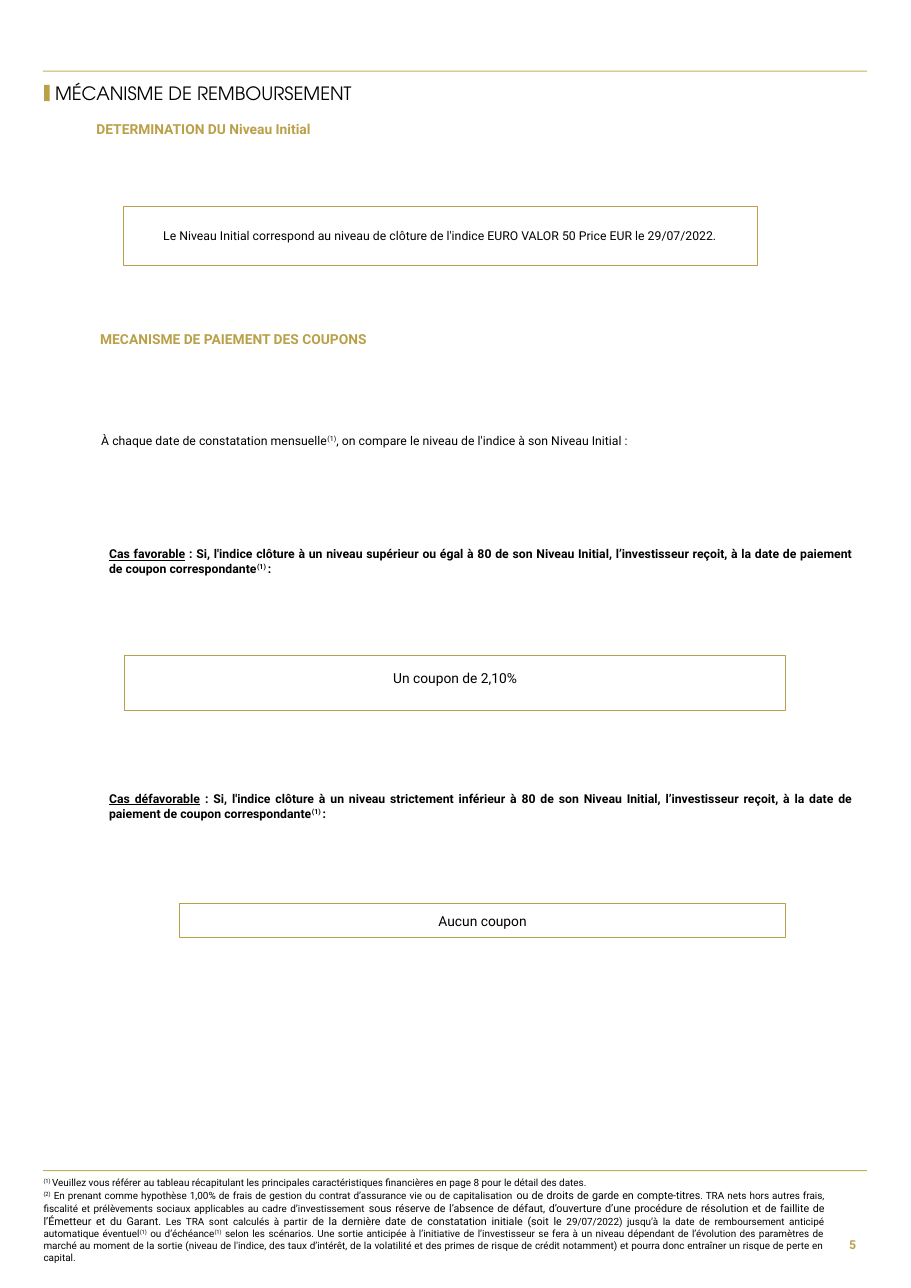
import dataclasses

import pptx
import pptx.dml.color
import pptx.enum.shapes
import pptx.enum.text
import pptx.util

Pt = pptx.util.Pt
Align = pptx.enum.text.PP_ALIGN
Anchor = pptx.enum.text.MSO_ANCHOR


@dataclasses.dataclass(frozen=True)
class Theme:
    gold: str = "B9A049"
    rule: str = "C5AF5C"
    ink: str = "000000"
    paper: str = "FFFFFF"
    body_font: str = "Roboto"
    title_font: str = "TeX Gyre Adventor"
    title: float = 12
    heading: float = 9
    body: float = 8
    footnote_large: float = 7
    footnote: float = 6.5


class Page:
    """Draws the elements of one page in a shared style."""

    def __init__(self, deck, theme):
        self.theme = theme
        self.shapes = deck.slides.add_slide(deck.slide_layouts[6]).shapes

    def style(self, span, size, color=None, bold=False, font=None):
        span.font.size = Pt(size)
        span.font.name = font or self.theme.body_font
        span.font.bold = bold
        span.font.color.rgb = pptx.dml.color.RGBColor.from_string(color or self.theme.ink)

    def frame(self, box, anchor, insets):
        frame = box.text_frame
        frame.word_wrap = True
        frame.vertical_anchor = anchor
        frame.margin_left, frame.margin_top, frame.margin_right, frame.margin_bottom = map(Pt, insets)
        return frame

    def bar(self, left, top, width, height, color):
        box = self.shapes.add_shape(pptx.enum.shapes.MSO_SHAPE.RECTANGLE, *map(Pt, (left, top, width, height)))
        box.shadow.inherit = False
        box.fill.solid()
        box.fill.fore_color.rgb = pptx.dml.color.RGBColor.from_string(color)
        box.line.fill.background()
        return box

    def label(self, bounds, text, size, color=None, bold=False, font=None,
              align=Align.LEFT, anchor=Anchor.TOP, insets=(0, 0, 0, 0), spacing=1):
        frame = self.frame(self.shapes.add_textbox(*map(Pt, bounds)), anchor, insets)
        self.line_of_text(frame, text, align, spacing, size, color, bold, font)

    def line_of_text(self, frame, text, align, spacing, *look):
        frame.text = text
        para = frame.paragraphs[0]
        para.alignment = align
        para.line_spacing = spacing
        self.style(para.runs[0], *look)

    def framed(self, bounds, text, size, line_width, insets, anchor=Anchor.MIDDLE, spacing=1):
        box = self.bar(*bounds, self.theme.paper)
        box.line.color.rgb = pptx.dml.color.RGBColor.from_string(self.theme.gold)
        box.line.width = Pt(line_width)
        self.line_of_text(self.frame(box, anchor, insets), text, Align.CENTER, spacing, size)

    def rich(self, bounds, paragraphs, size, bold=False):
        frame = self.frame(self.shapes.add_textbox(*map(Pt, bounds)), Anchor.TOP, (0, 0, 0, 0))
        for index, pieces in enumerate(paragraphs):
            para = frame.add_paragraph() if index else frame.paragraphs[0]
            para.alignment = Align.JUSTIFY
            for text, role in pieces:
                span = para.add_run()
                span.text = text
                self.style(span, self.theme.footnote_large if role == "large" else size, bold=bold)
                if role == "underline":
                    span.font.underline = True
                if role == "super":
                    span.font._element.set("baseline", "30000")

    def case(self, top, name, condition):
        self.rich((71.28, top, 486.72, 19.44), [[
            (name, "underline"),
            (f" : Si, l'indice clôture à un niveau {condition} à 80 de son Niveau Initial, "
             "l’investisseur reçoit, à la date de paiement de coupon correspondante", ""),
            ("(1) ", "super"),
            (":", ""),
        ]], self.theme.body, bold=True)


FOOTNOTES = [
    [
        ("(1) ", "super"),
        ("Veuillez vous référer au tableau récapitulant les principales caractéristiques "
         "financières en page 8 pour le détail des dates.", ""),
    ],
    [
        ("(2)", "super"),
        (" En prenant comme hypothèse 1,00% de frais de gestion du contrat d’assurance vie "
         "ou de capitalisation ", ""),
        ("ou de droits de garde en compte-titres", "large"),
        (". TRA nets hors autres frais, fiscalité et prélèvements sociaux applicables au cadre "
         "d’investissement ", ""),
        ("sous réserve de l’absence de défaut, d’ouverture d’une procédure de résolution et de "
         "faillite de l’Émetteur et du Garant. ", "large"),
        ("Les TRA sont calculés à partir ", ""),
        ("de la dernière date de constatation initiale (soit le", "large"),
        (" 29/07/2022) jusqu’à la date de remboursement anticipé automatique éventuel", ""),
        ("(1)", "super"),
        (" ou d’échéance", ""),
        ("(1)", "super"),
        (" selon les scénarios. Une sortie anticipée à l’initiative de l’investisseur se fera à "
         "un niveau dépendant de l’évolution des paramètres de marché au moment de la sortie "
         "(niveau de l'indice, des taux d’intérêt, de la volatilité et des primes de risque de "
         "crédit notamment) et pourra donc entraîner un risque de perte en capital.", ""),
    ],
]


def main():
    deck = pptx.Presentation()
    deck.slide_width, deck.slide_height = Pt(595.44), Pt(841.68)
    theme = Theme()
    page = Page(deck, theme)

    for top in (46.1, 764.6):
        page.bar(28.1, top, 538.6, 0.7, theme.rule)
    page.label((538.6, 798.5, 28.1, 30.2), "5", theme.body, theme.gold, True,
               align=Align.RIGHT, anchor=Anchor.MIDDLE, insets=(7.2, 3.6, 7.2, 3.6))
    page.rich((28.5, 769, 510.5, 49), FOOTNOTES, theme.footnote)

    page.label((36, 52.6, 303.1, 18), "MÉCANISME DE REMBOURSEMENT", theme.title,
               font=theme.title_font, anchor=Anchor.MIDDLE, spacing=0.9)
    page.bar(28.8, 55.4, 3.6, 10.8, theme.gold)

    page.label((63, 79.2, 214, 13), "DETERMINATION DU Niveau Initial",
               theme.heading, theme.gold, True)
    page.framed((80.6, 134.6, 414.7, 38.9),
                "Le Niveau Initial correspond au niveau de clôture de l'indice "
                "EURO VALOR 50 Price EUR le 29/07/2022.",
                theme.body, 0.5, (8.6, 8.6, 8.6, 8.6))

    page.label((65.5, 216, 473, 12.2), "MECANISME DE PAIEMENT DES COUPONS",
               theme.heading, theme.gold, True)
    page.rich((66.2, 283, 473, 9.4), [[
        ("À chaque date de constatation mensuelle", ""),
        ("(1)", "super"),
        (", on compare le niveau de l'indice à son Niveau Initial :", ""),
    ]], theme.body)

    page.case(357.1, "Cas favorable", "supérieur ou égal")
    page.framed((81.4, 428.4, 432, 36), "Un coupon de 2,10%", theme.heading, 0.75,
                (8.6, 10.8, 8.6, 5.8), anchor=Anchor.TOP, spacing=0.9)
    page.case(517, "Cas défavorable", "strictement inférieur")
    page.framed((117.4, 590.4, 396, 22.3), "Aucun coupon", theme.heading, 0.75,
                (8.6, 5.8, 8.6, 5.8))

    deck.save("out.pptx")


if __name__ == "__main__":
    main()
